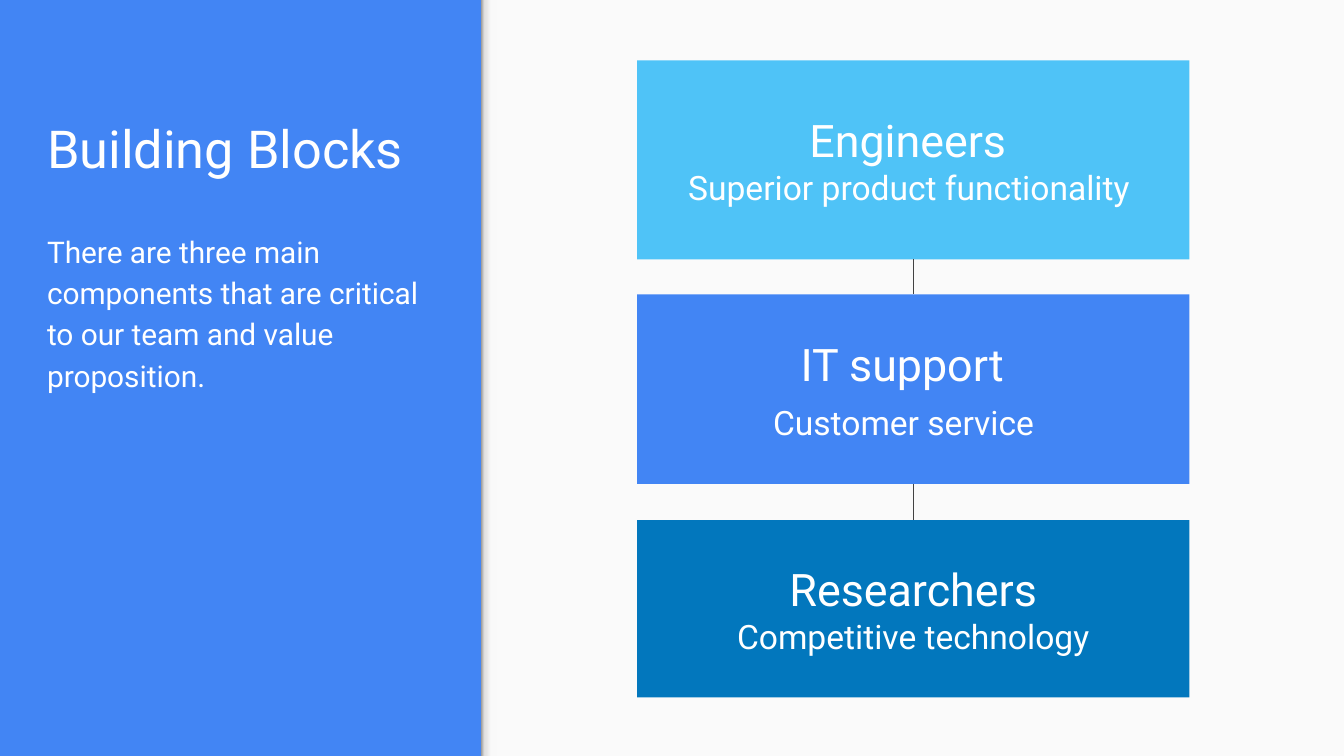
import lxml.etree
import pptx
import pptx.dml.color
import pptx.enum.dml
import pptx.enum.shapes
import pptx.enum.text
import pptx.oxml.ns
import pptx.util

Inches = pptx.util.Inches
Pt = pptx.util.Pt
RGBColor = pptx.dml.color.RGBColor
Align = pptx.enum.text.PP_ALIGN
Anchor = pptx.enum.text.MSO_ANCHOR
qn = pptx.oxml.ns.qn

BLUE = RGBColor(0x42, 0x85, 0xF4)
SKY = RGBColor(0x4F, 0xC3, 0xF7)
OCEAN = RGBColor(0x02, 0x77, 0xBD)
PAPER = RGBColor(0xFA, 0xFA, 0xFA)
WHITE = RGBColor(0xFF, 0xFF, 0xFF)
CHARCOAL = RGBColor(0x42, 0x42, 0x42)
EDGE_STOPS = [
    (0, RGBColor(0x99, 0x99, 0x99)),
    (20, RGBColor(0xDE, 0xDE, 0xDE)),
    (64, RGBColor(0xF9, 0xF9, 0xF9)),
    (100, RGBColor(0xF9, 0xF9, 0xF9)),
]

FONT = "Roboto"
WIDTH = 10
HEIGHT = WIDTH * 9 / 16
PANEL_LEFT = 3.58
BLOCK_LEFT, BLOCK_WIDTH = 4.74, 4.11
BLOCKS = [
    (0.45, 1.48, SKY, "Engineers ", "Superior product functionality ", 0, 0.1),
    (2.19, 1.41, BLUE, "IT support ", "Customer service ", 6, 0.18),
    (3.87, 1.32, OCEAN, " Researchers ", "Competitive technology", 0, 0.1),
]


def add_rectangle(page, left, top, width, height):
    """Add a rectangle without outline or shadow."""
    box = page.shapes.add_shape(
        pptx.enum.shapes.MSO_SHAPE.RECTANGLE,
        Inches(left), Inches(top), Inches(width), Inches(height),
    )
    box.shadow.inherit = False
    box.line.fill.background()
    return box


def fill_solid(box, color):
    """Fill a shape with one colour."""
    box.fill.solid()
    box.fill.fore_color.rgb = color


def fill_gradient(box, stops):
    """Fill a shape with a left-to-right gradient."""
    box.fill.gradient()
    box.fill.gradient_angle = 0
    stop_list = box._element.spPr.find(qn("a:gradFill")).find(qn("a:gsLst"))
    for stop in list(stop_list):
        stop_list.remove(stop)
    for percent, color in stops:
        stop = lxml.etree.SubElement(stop_list, qn("a:gs"), pos=str(percent * 1000))
        lxml.etree.SubElement(stop, qn("a:srgbClr"), val=str(color))


def set_frame(frame, anchor, right=0.1):
    """Give a text frame its wrapping, margins and anchor."""
    frame.word_wrap = True
    frame.auto_size = pptx.enum.text.MSO_AUTO_SIZE.NONE
    frame.vertical_anchor = anchor
    frame.margin_left = frame.margin_top = frame.margin_bottom = Inches(0.1)
    frame.margin_right = Inches(right)


def write_paragraph(para, text, size, align, before=0):
    """Write white text into a paragraph."""
    para.text = text
    para.alignment = align
    para.space_before = Pt(before)
    para.font.name = FONT
    para.font.size = Pt(size)
    para.font.color.rgb = WHITE


def fill_placeholder(box, top, height, anchor, text, size):
    """Place a placeholder in the left column and write its text."""
    box.left, box.top = Inches(0.25), Inches(top)
    box.width, box.height = Inches(3.07), Inches(height)
    set_frame(box.text_frame, anchor)
    para = box.text_frame.paragraphs[0]
    write_paragraph(para, text, size, Align.LEFT)
    return para


def remove_bullet(para):
    """Clear the bullet and hanging indent of a paragraph."""
    properties = para._p.get_or_add_pPr()
    properties.set("marL", "0")
    properties.set("indent", "0")
    lxml.etree.SubElement(properties, qn("a:buNone"))
    properties.append(properties.find(qn("a:defRPr")))


def add_block(page, top, height, color, heading, detail, gap, right):
    """Add a coloured block with a heading and a detail line."""
    box = add_rectangle(page, BLOCK_LEFT, top, BLOCK_WIDTH, height)
    fill_solid(box, color)
    frame = box.text_frame
    set_frame(frame, Anchor.MIDDLE, right)
    write_paragraph(frame.paragraphs[0], heading, 24, Align.CENTER)
    write_paragraph(frame.add_paragraph(), detail, 18, Align.CENTER, gap)
    return box


def add_link(page, upper, lower):
    """Join the bottom of one block to the top of the next."""
    link = page.shapes.add_connector(
        pptx.enum.shapes.MSO_CONNECTOR.STRAIGHT, 0, 0, 0, 0
    )
    link.begin_connect(upper, 2)
    link.end_connect(lower, 0)
    link.line.color.rgb = CHARCOAL
    link.line.width = Pt(0.75)
    lxml.etree.SubElement(link._element.spPr, qn("a:effectLst"))


def main():
    """Build and save the slide."""
    deck = pptx.Presentation()
    deck.slide_width, deck.slide_height = Inches(WIDTH), Inches(HEIGHT)
    page = deck.slides.add_slide(deck.slide_layouts[1])
    page.background.fill.solid()
    page.background.fill.fore_color.rgb = BLUE

    fill_placeholder(
        page.shapes.title, 0.39, 1.04, Anchor.BOTTOM, "Building Blocks", 28
    )
    para = fill_placeholder(
        page.placeholders[1], 1.6, 3.46, Anchor.TOP,
        "There are three main components that are critical "
        "to our team and value proposition.", 16,
    )
    para.line_spacing = 1.15
    remove_bullet(para)

    panel = add_rectangle(page, PANEL_LEFT, 0, WIDTH - PANEL_LEFT, HEIGHT)
    fill_solid(panel, PAPER)
    edge = add_rectangle(page, PANEL_LEFT, 0, 0.12, HEIGHT)
    fill_gradient(edge, EDGE_STOPS)

    boxes = [add_block(page, *block) for block in BLOCKS]
    for upper, lower in zip(boxes, boxes[1:]):
        add_link(page, upper, lower)

    deck.save("out.pptx")


if __name__ == "__main__":
    main()
